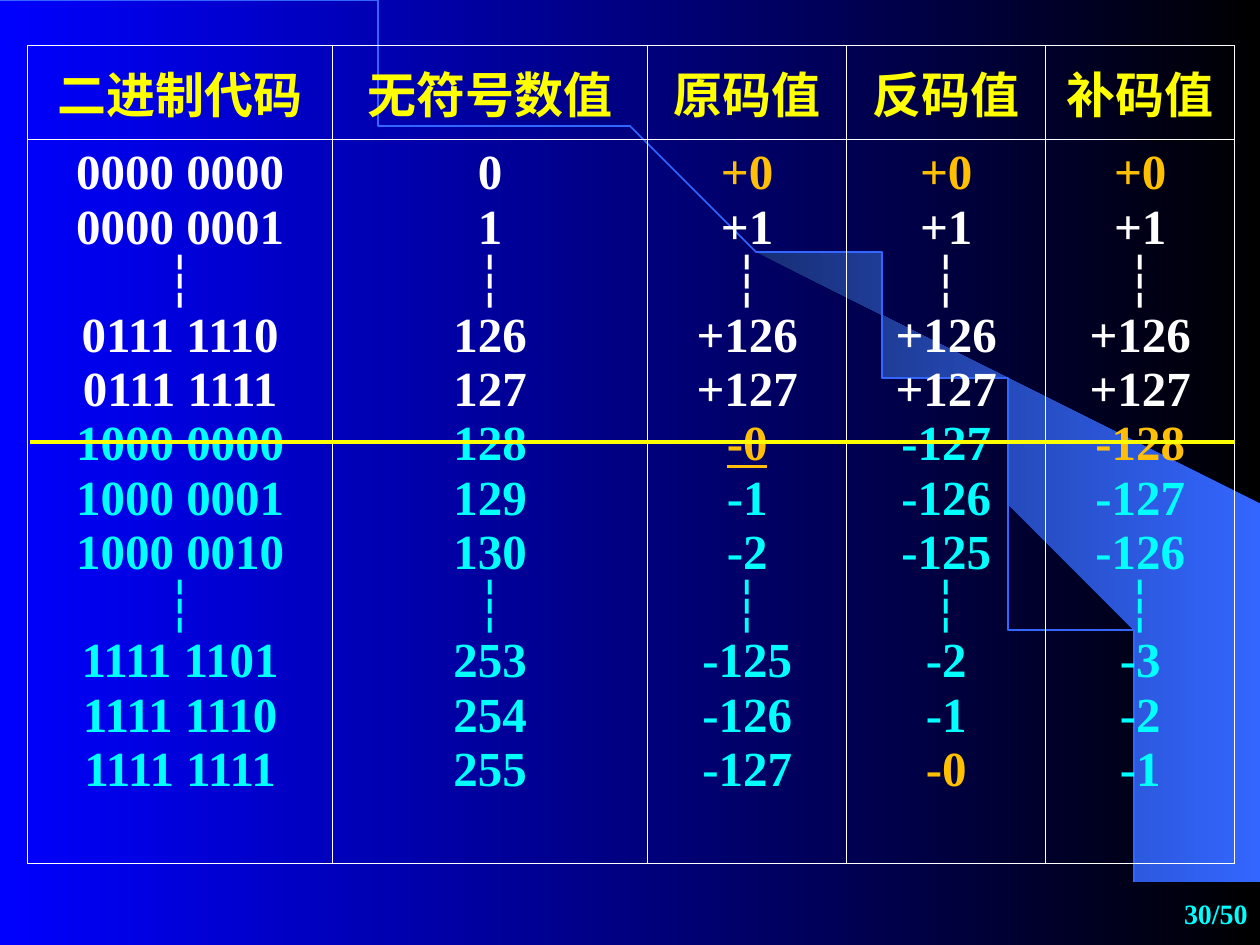
import math

from lxml import etree
from pptx import Presentation
from pptx import util as u
from pptx.dml.color import RGBColor
from pptx.enum import shapes, text
from pptx.oxml.ns import qn

WIDTH, HEIGHT = 10, 7.5
FONT = "Times New Roman"
YELLOW, WHITE, CYAN, BLUE = "FFFF00", "FFFFFF", "00FFFF", "3366FF"
GOLD, AMBER = "FFBF09", "FFC000"

HEADERS = ["二进制代码", "无符号数值", "原码值", "反码值", "补码值"]
POSITIVE = [
    ("0000 0000", "0", "+0", "+0", "+0"),
    ("0000 0001", "1", "+1", "+1", "+1"),
    ("┆",) * 5,
    ("0111 1110", "126", "+126", "+126", "+126"),
    ("0111 1111", "127", "+127", "+127", "+127"),
]
NEGATIVE = [
    ("1000 0000", "128", "-0", "-127", "-128"),
    ("1000 0001", "129", "-1", "-126", "-127"),
    ("1000 0010", "130", "-2", "-125", "-126"),
    ("┆",) * 5,
    ("1111 1101", "253", "-125", "-2", "-3"),
    ("1111 1110", "254", "-126", "-1", "-2"),
    ("1111 1111", "255", "-127", "-0", "-1"),
]
# (code line, column) of the special values
HIGHLIGHTS = {(0, 2): GOLD, (0, 3): AMBER, (0, 4): AMBER,
              (5, 2): GOLD, (5, 4): GOLD, (11, 3): AMBER}
UNDERLINED = (5, 2)
PAGE = "30/50"

TABLE_LEFT, TABLE_TOP = 0.22, 0.36
COLUMNS = [2.42, 2.5, 1.58, 1.58, 1.5]
ROWS = [0.75, 5.74]
DIVIDER_Y = 3.51
HANGING = 0.38

ARC_RX, ARC_RY, ARC_STEPS = 9.2, 7.49, 90
BEAM = [(9.2, 7.48), (9.99, 7.49), (9.99, 4.23), (5.89, 1.73), (6.24, 1.99),
        (6.53, 2.22), (6.85, 2.5), (7.16, 2.8), (7.62, 3.3), (8.03, 3.84),
        (8.32, 4.31), (8.58, 4.79), (8.78, 5.28), (8.93, 5.72), (9.03, 6.09),
        (9.13, 6.56), (9.17, 6.96)]


def rgb(value):
    return RGBColor.from_string(value)


def horizontal_gradient(fill, start, end):
    fill.gradient()
    fill.gradient_angle = 0
    for stop, colour, position in zip(fill.gradient_stops, (start, end), (0, 1)):
        stop.color.rgb = rgb(colour)
        stop.position = position


def add_outline(slide, points, close):
    builder = slide.shapes.build_freeform(*points[0], scale=u.Inches(1))
    builder.add_line_segments(points[1:], close=close)
    outline = builder.convert_to_shape()
    outline.shadow.inherit = False
    return outline


def add_backdrop(slide):
    horizontal_gradient(slide.background.fill, "0000FF", "000000")
    beam = add_outline(slide, BEAM, close=True)
    horizontal_gradient(beam.fill, "182F76", BLUE)
    beam.line.fill.background()

    angles = [math.pi / 2 * i / ARC_STEPS for i in range(ARC_STEPS + 1)]
    arc = add_outline(slide, [(ARC_RX * math.sin(a), ARC_RY * (1 - math.cos(a)))
                              for a in angles], close=False)
    arc.fill.background()
    arc.line.color.rgb = rgb(BLUE)
    arc.line.width = u.Pt(1)


def write(paragraph, words, size, colour, align):
    paragraph.text = words
    paragraph.alignment = align
    font = paragraph.font
    font.name, font.size, font.bold = FONT, u.Pt(size), True
    font.color.rgb = rgb(colour)


def write_value(paragraph, words, colour):
    properties = paragraph._p.get_or_add_pPr()
    properties.set("marL", str(u.Inches(HANGING)))
    properties.set("indent", str(-u.Inches(HANGING)))
    write(paragraph, words, 28, colour, text.PP_ALIGN.CENTER)


def style_cell(cell):
    """Clear the fill and draw a thin white border on all four sides."""
    cell.fill.background()
    properties = cell._tc.get_or_add_tcPr()
    for place, side in enumerate(("a:lnL", "a:lnR", "a:lnT", "a:lnB")):
        border = etree.Element(qn(side), w=str(u.Pt(0.45)))
        solid = etree.SubElement(border, qn("a:solidFill"))
        etree.SubElement(solid, qn("a:srgbClr"), val=WHITE)
        properties.insert(place, border)


def add_code_table(slide):
    table = slide.shapes.add_table(
        len(ROWS), len(COLUMNS), u.Inches(TABLE_LEFT), u.Inches(TABLE_TOP),
        u.Inches(sum(COLUMNS)), u.Inches(sum(ROWS))).table
    table.first_row = table.horz_banding = False
    for row, height in zip(table.rows, ROWS):
        row.height = u.Inches(height)

    for col, (header, width) in enumerate(zip(HEADERS, COLUMNS)):
        table.columns[col].width = u.Inches(width)
        head, body = table.cell(0, col), table.cell(1, col)
        style_cell(head)
        style_cell(body)
        head.vertical_anchor = text.MSO_ANCHOR.MIDDLE
        write_value(head.text_frame.paragraphs[0], header, YELLOW)

        for line, values in enumerate(POSITIVE + NEGATIVE):
            frame = body.text_frame
            paragraph = frame.add_paragraph() if line else frame.paragraphs[0]
            sign_colour = WHITE if line < len(POSITIVE) else CYAN
            write_value(paragraph, values[col],
                        HIGHLIGHTS.get((line, col), sign_colour))
            if (line, col) == UNDERLINED:
                paragraph.font.underline = True


def add_divider(slide):
    divider = slide.shapes.add_connector(
        shapes.MSO_CONNECTOR.STRAIGHT, u.Inches(0.24), u.Inches(DIVIDER_Y),
        u.Inches(TABLE_LEFT + sum(COLUMNS)), u.Inches(DIVIDER_Y))
    divider.line.color.rgb = rgb(YELLOW)
    divider.line.width = u.Pt(2.25)
    etree.SubElement(divider._element.spPr, qn("a:effectLst"))


def add_page_number(slide):
    width, height = 2.08, 0.5
    frame = slide.shapes.add_textbox(
        u.Inches(WIDTH - width), u.Inches(HEIGHT - height),
        u.Inches(width), u.Inches(height)).text_frame
    frame.word_wrap = True
    frame.vertical_anchor = text.MSO_ANCHOR.MIDDLE
    write(frame.paragraphs[0], PAGE, 16, CYAN, text.PP_ALIGN.RIGHT)


def main():
    deck = Presentation()
    deck.slide_width, deck.slide_height = u.Inches(WIDTH), u.Inches(HEIGHT)
    slide = deck.slides.add_slide(deck.slide_layouts[6])
    add_backdrop(slide)
    add_code_table(slide)
    add_divider(slide)
    add_page_number(slide)
    deck.save("out.pptx")


if __name__ == "__main__":
    main()
